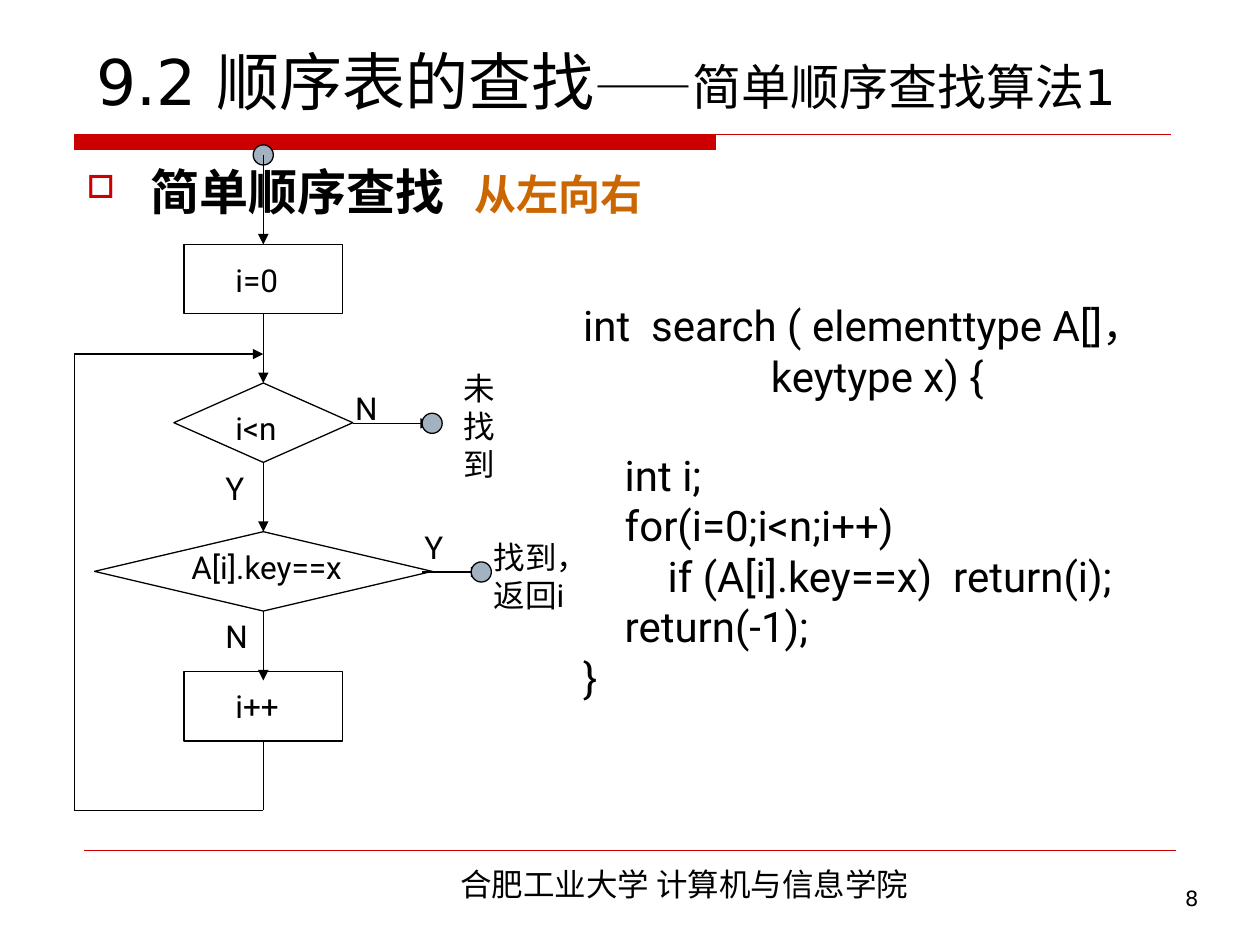
from lxml import etree
from pptx import Presentation, util as u
from pptx.dml.color import RGBColor
from pptx.enum import shapes, text
from pptx.oxml.ns import qn

PX = 9144  # 100 px to the inch
BLACK, RED, ORANGE, GREY = "000000", "CC0000", "CC6600", "A3B2C1"
CJK = "Noto Sans CJK SC"
SHAPE = shapes.MSO_SHAPE
ALIGN = text.PP_ALIGN

prs = Presentation()
prs.slide_width, prs.slide_height = 1000 * PX, 750 * PX
slide = prs.slides.add_slide(prs.slide_layouts[6])


def add_text(box, paragraphs, font="Roboto", align=ALIGN.LEFT, anchor=text.MSO_ANCHOR.TOP):
    """Each paragraph is a list of (words, size, other font values) runs."""
    frame = slide.shapes.add_textbox(*(v * PX for v in box)).text_frame
    frame.word_wrap, frame.vertical_anchor = True, anchor
    for i, runs in enumerate(paragraphs):
        para = frame.paragraphs[0] if i == 0 else frame.add_paragraph()
        para.alignment = align
        for words, size, extra in runs:
            run = para.add_run()
            run.text = words
            values = {"name": font, "size": u.Pt(size), **extra}
            color = values.pop("color", BLACK)
            for key, value in values.items():
                setattr(run.font, key, value)
            run.font.color.rgb = RGBColor.from_string(color)
            etree.SubElement(run.font._element, qn("a:ea"), typeface=CJK)
    return frame.paragraphs


def add_node(kind, box, fill=None):
    node = slide.shapes.add_shape(kind, *(v * PX for v in box))
    node.shadow.inherit = False
    if fill:
        node.fill.solid()
        node.fill.fore_color.rgb = RGBColor.from_string(fill)
    else:
        node.fill.background()
    node.line.color.rgb = RGBColor.from_string(BLACK)
    node.line.width = u.Pt(0.75)


# Header bar
outline = slide.shapes.build_freeform(59, 107, scale=PX)
outline.add_line_segments([(568, 107), (568, 119), (59, 119)], close=True)
bar = outline.convert_to_shape()
bar.shadow.inherit = False
bar.fill.solid()
bar.fill.fore_color.rgb = RGBColor.from_string(RED)
bar.line.fill.background()

# Flowchart nodes, left to right centred on the main axis
AXIS = 209
add_node(SHAPE.FLOWCHART_CONNECTOR, (201, 115, 16, 16), GREY)
for kind, top, width, height in [
    (SHAPE.FLOWCHART_PROCESS, 194, 126, 55),
    (SHAPE.FLOWCHART_DECISION, 304, 142, 63),
    (SHAPE.FLOWCHART_DECISION, 422, 268, 63),
    (SHAPE.FLOWCHART_PROCESS, 533, 126, 55),
]:
    add_node(kind, (AXIS - width // 2, top, width, height))

# Rules and flow lines: start, end, colour, width, arrowhead
LOOP = 59
flow = [
    (AXIS, 123, AXIS, 194, True),
    (AXIS, 249, AXIS, 304, True),
    (AXIS, 367, AXIS, 422, True),
    (AXIS, 485, AXIS, 540, True),
    (AXIS, 588, AXIS, 643, False),
    (280, 336, 342, 336, True),
    (335, 454, 382, 454, True),
    (LOOP, 643, AXIS, 643, False),
    (LOOP, 643, LOOP, 281, False),
    (LOOP, 281, AXIS, 281, True),
]
rules = [(59, 107, 929, 107, False, RED, 0.75), (67, 675, 933, 675, False, RED, 0.25)]
for x1, y1, x2, y2, arrow, color, width in rules + [f + (BLACK, 0.75) for f in flow]:
    line = slide.shapes.add_connector(
        shapes.MSO_CONNECTOR.STRAIGHT, x1 * PX, y1 * PX, x2 * PX, y2 * PX)
    line.line.color.rgb = RGBColor.from_string(color)
    line.line.width = u.Pt(width)
    if arrow:
        etree.SubElement(line.line._get_or_add_ln(), qn("a:tailEnd"), type="triangle")
    etree.SubElement(line._element.spPr, qn("a:effectLst"))

for left, top in [(335, 328), (374, 446)]:
    add_node(SHAPE.FLOWCHART_CONNECTOR, (left, top, 16, 16), GREY)

# Flowchart labels
for words, *box in [
    ("i=0", 177, 202, 95, 40),
    ("i<n", 177, 320, 63, 40),
    ("A[i].key==x", 142, 430, 161, 40),
    ("i++", 177, 540, 95, 40),
    ("N", 272, 304, 47, 40),
    ("Y", 169, 367, 24, 40),
    ("Y", 327, 414, 39, 40),
    ("N", 169, 485, 24, 40),
    ("未找到", 358, 288, 47, 100),
    ("找到，返回i", 382, 422, 102, 70),
]:
    add_text(box, [[(words, 18, {})]])

# Title, footer and page number
add_text((67, 21, 914, 78), [[("9.2 顺序表的查找", 36, {}), ("——简单顺序查找算法1", 28, {})]],
         "DejaVu Sans", anchor=text.MSO_ANCHOR.BOTTOM)
add_text((240, 682, 606, 40), [[("合肥工业大学 计算机与信息学院", 18, {})]], CJK, ALIGN.CENTER)
add_text((744, 698, 217, 52), [[("8", 12, {})]], "DejaVu Sans", ALIGN.RIGHT)

# Code, with indents in px
code = [
    ("int  search ( elementtype A[]，", 0),
    ("keytype x) {", 149),
    ("int i;", 33),
    ("for(i=0;i<n;i++)", 33),
    ("if (A[i].key==x)  return(i);", 67),
    ("return(-1);", 33),
    ("}", 0),
]
code_lines = add_text((453, 233, 488, 330), [[(words, 24, {})] for words, _ in code])
for para, (_, indent) in zip(code_lines, code):
    para._p.get_or_add_pPr().set("marL", str(indent * PX))
code_lines[2].space_before = u.Pt(28)

# Bulleted heading
heading = add_text((59, 123, 866, 102), [[
    ("简单顺序查找", 28, {"bold": True}),
    (" ", 24, {}),
    ("从左向右", 24, {"bold": True, "color": ORANGE}),
]], "Times New Roman")[0]
heading.runs[1].font._element.set("spc", "1200")
props = heading._p.get_or_add_pPr()
props.set("marL", str(51 * PX))
props.set("indent", str(-51 * PX))
bullet_color = etree.SubElement(props, qn("a:buClr"))
etree.SubElement(bullet_color, qn("a:srgbClr"), val=RED)
etree.SubElement(props, qn("a:buSzPct"), val="65000")
etree.SubElement(props, qn("a:buChar"), char="□")

prs.save("out.pptx")
